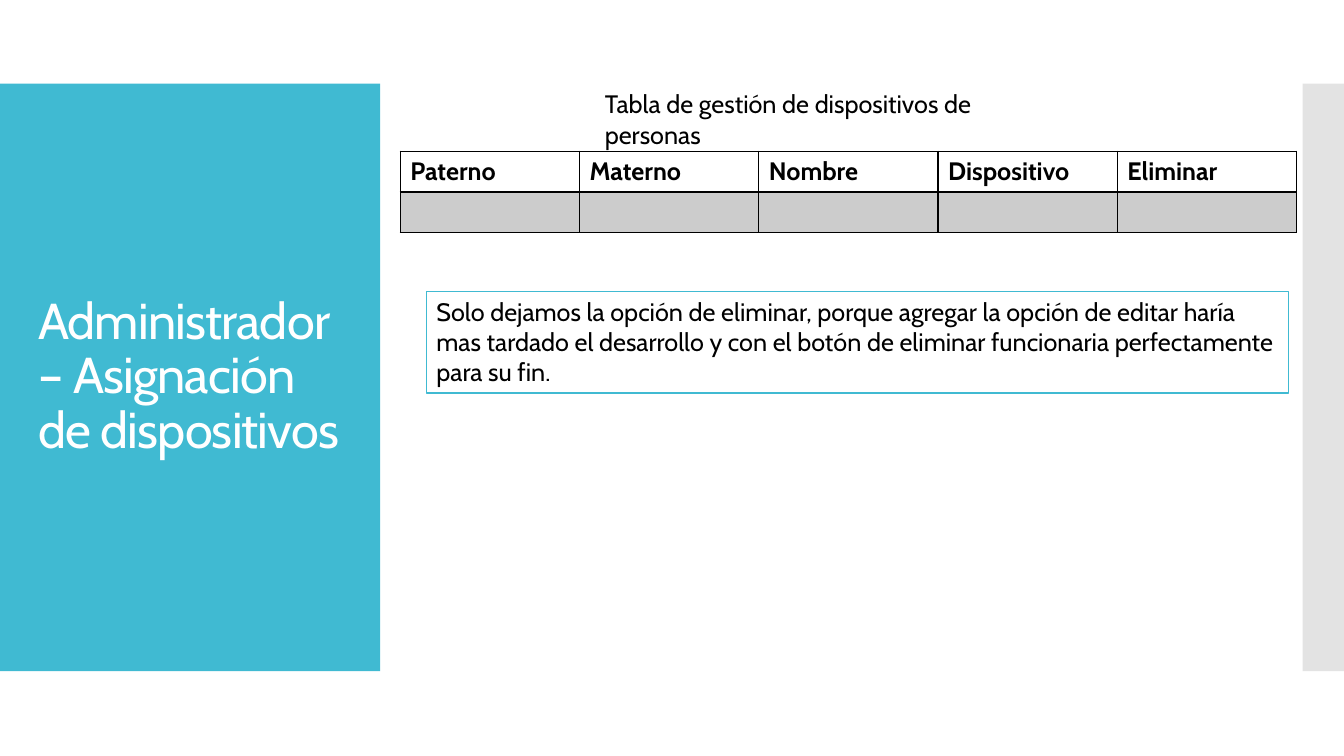
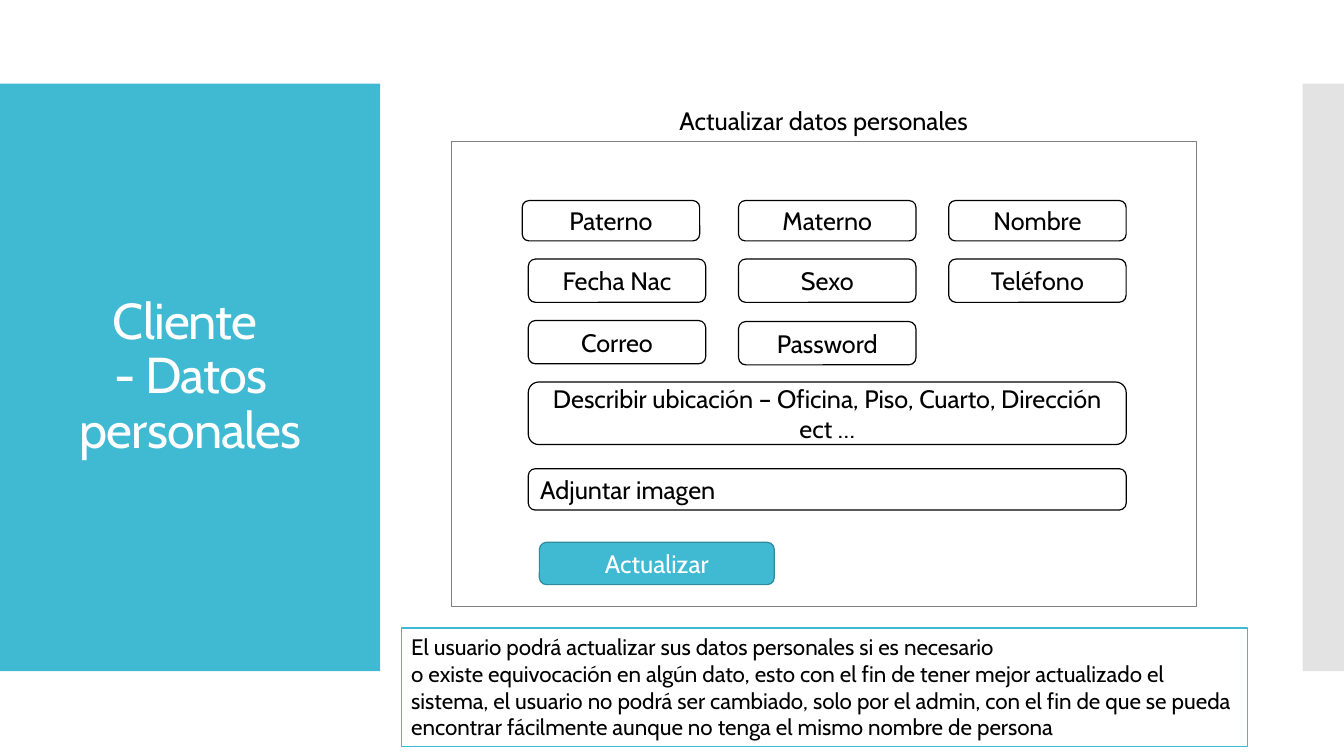
import pptx
import pptx.dml.color
import pptx.enum.shapes
import pptx.enum.text
import pptx.oxml
import pptx.oxml.ns
import pptx.util

Inches = pptx.util.Inches
Pt = pptx.util.Pt
ALIGN = pptx.enum.text.PP_ALIGN
ANCHOR = pptx.enum.text.MSO_ANCHOR
SHAPE = pptx.enum.shapes.MSO_SHAPE

FONT = "Cabin"
TEAL = "40BAD2"
DARK_TEAL = "2F8A9B"
SILVER = "C8C8C8"
GREY = "808080"
BLACK = "000000"
WHITE = "FFFFFF"
LINE_WIDTH = 0.85
BAND_TOP, BAND_HEIGHT = 0.83, 5.83


def color(hex_code):
    return pptx.dml.color.RGBColor.from_string(hex_code)


def paint(fill, properties, hex_code, opacity=100):
    fill.solid()
    fill.fore_color.rgb = color(hex_code)
    if opacity < 100:
        tone = properties.find(pptx.oxml.ns.qn("a:solidFill"))[0]
        alpha = tone.makeelement(pptx.oxml.ns.qn("a:alpha"), {"val": str(opacity * 1000)})
        tone.append(alpha)


def write(frame, text, size=18, ink=BLACK, align=ALIGN.LEFT, anchor=ANCHOR.TOP, bold=False):
    frame.text = text
    frame.word_wrap = True
    frame.vertical_anchor = anchor
    for para in frame.paragraphs:
        para.alignment = align
        for span in para.runs:
            span.font.name = FONT
            span.font.size = Pt(size)
            span.font.bold = bold
            span.font.color.rgb = color(ink)


def add_block(page, box, fill=WHITE, line=None, kind=SHAPE.RECTANGLE, opacity=100):
    block = page.shapes.add_shape(kind, *map(Inches, box))
    block.shadow.inherit = False
    paint(block.fill, block._element.spPr, fill, opacity)
    if line:
        block.line.color.rgb = color(line)
        block.line.width = Pt(LINE_WIDTH)
    else:
        block.line.fill.background()
    return block


def add_label(page, box, text, **style):
    label = page.shapes.add_textbox(*map(Inches, box))
    write(label.text_frame, text, **style)
    return label


def add_note(page, box, text, size=18):
    write(add_block(page, box, line=TEAL).text_frame, text, size)


def add_field(page, box, text, align=ALIGN.CENTER, fill=WHITE, line=BLACK, ink=BLACK):
    field = add_block(page, box, fill, line, SHAPE.ROUNDED_RECTANGLE)
    write(field.text_frame, text, ink=ink, align=align, anchor=ANCHOR.MIDDLE)


def add_page(deck, title, align=ALIGN.LEFT):
    page = deck.slides.add_slide(deck.slide_layouts[6])
    add_block(page, (0, BAND_TOP, 3.77, BAND_HEIGHT), TEAL)
    add_block(page, (12.92, BAND_TOP, 0.41, BAND_HEIGHT), SILVER, opacity=50)
    heading = add_label(page, (0.28, 1.23, 3.22, 5.03), title, size=36, ink=WHITE,
                        align=align, anchor=ANCHOR.MIDDLE)
    for para in heading.text_frame.paragraphs:
        para.line_spacing = 0.9
        for span in para.runs:
            span.font._element.set("spc", "-60")
    return page


def set_borders(cell, bottom):
    properties = cell._tc.get_or_add_tcPr()
    for index, (side, width) in enumerate(zip("LRTB", (1, 1, 1, bottom))):
        border = pptx.oxml.parse_xml(
            f'<a:ln{side} {pptx.oxml.ns.nsdecls("a")} w="{Pt(width)}">'
            f'<a:solidFill><a:srgbClr val="{BLACK}"/></a:solidFill></a:ln{side}>')
        properties.insert(index, border)


def add_device_table(page, box, headings):
    table = page.shapes.add_table(2, len(headings), *map(Inches, box)).table
    table.first_row = table.horz_banding = False
    for heading, cell in zip(headings, table.rows[0].cells):
        write(cell.text_frame, heading, bold=True)
        cell.fill.background()
        set_borders(cell, 2)
    for cell in table.rows[1].cells:
        paint(cell.fill, cell._tc.get_or_add_tcPr(), BLACK, 20)
        set_borders(cell, 1)


def add_form(page, box):
    left, top, width, height = box
    add_block(page, box, line=GREY)
    add_label(page, (left + 2.16, top - 0.4, 3.2, 0.4), "Actualizar datos personales")

    rows = [
        (0.59, 0.4, ["Paterno", "Materno", "Nombre"]),
        (1.17, 0.43, ["Fecha Nac", "Sexo", "Teléfono"]),
        (1.78, 0.43, ["Correo", "Password"]),
    ]
    nudges = {"Paterno": (-0.06, 0), "Password": (0, 0.01)}
    margin, step = 0.76, 2.085
    for offset, field_height, names in rows:
        for column, name in enumerate(names):
            across, down = nudges.get(name, (0, 0))
            add_field(page, (left + margin + column * step + across,
                             top + offset + down, 1.76, field_height), name)

    wide = 5.93
    add_field(page, (left + margin, top + 2.39, wide, 0.62),
              "Describir ubicación – Oficina, Piso, Cuarto, Dirección ect …")
    add_field(page, (left + margin, top + 3.25, wide, 0.41), "Adjuntar imagen", ALIGN.LEFT)
    add_field(page, (left + 0.87, top + 3.98, 2.33, 0.42), "Actualizar",
              fill=TEAL, line=DARK_TEAL, ink=WHITE)


def build_devices(deck):
    page = add_page(deck, "Administrador – Asignación de dispositivos")
    add_label(page, (5.9, 0.83, 4.5, 0.4), "Tabla de gestión de dispositivos de personas")
    add_device_table(page, (3.97, 1.5, 8.89, 0.81),
                     ["Paterno", "Materno", "Nombre", "Dispositivo", "Eliminar"])
    add_note(page, (4.23, 2.89, 8.55, 1.01),
             "Solo dejamos la opción de eliminar, porque agregar la opción de editar haría "
             "mas tardado el desarrollo y con el botón de eliminar funcionaria "
             "perfectamente para su fin.")


def build_personal_data(deck):
    page = add_page(deck, "Cliente \v- Datos personales", ALIGN.CENTER)
    add_form(page, (4.48, 1.4, 7.39, 4.62))
    add_note(page, (3.98, 6.23, 8.39, 1.18),
             "El usuario podrá actualizar sus datos personales si es necesario\n"
             "o existe equivocación en algún dato, esto con el fin de tener mejor "
             "actualizado el sistema, el usuario no podrá ser cambiado, solo por el admin, "
             "con el fin de que se pueda encontrar fácilmente aunque no tenga el mismo "
             "nombre de persona", 16)


def main():
    deck = pptx.Presentation()
    deck.slide_width = Inches(13.33)
    deck.slide_height = Inches(7.5)
    build_devices(deck)
    build_personal_data(deck)
    deck.save("out.pptx")


if __name__ == "__main__":
    main()
